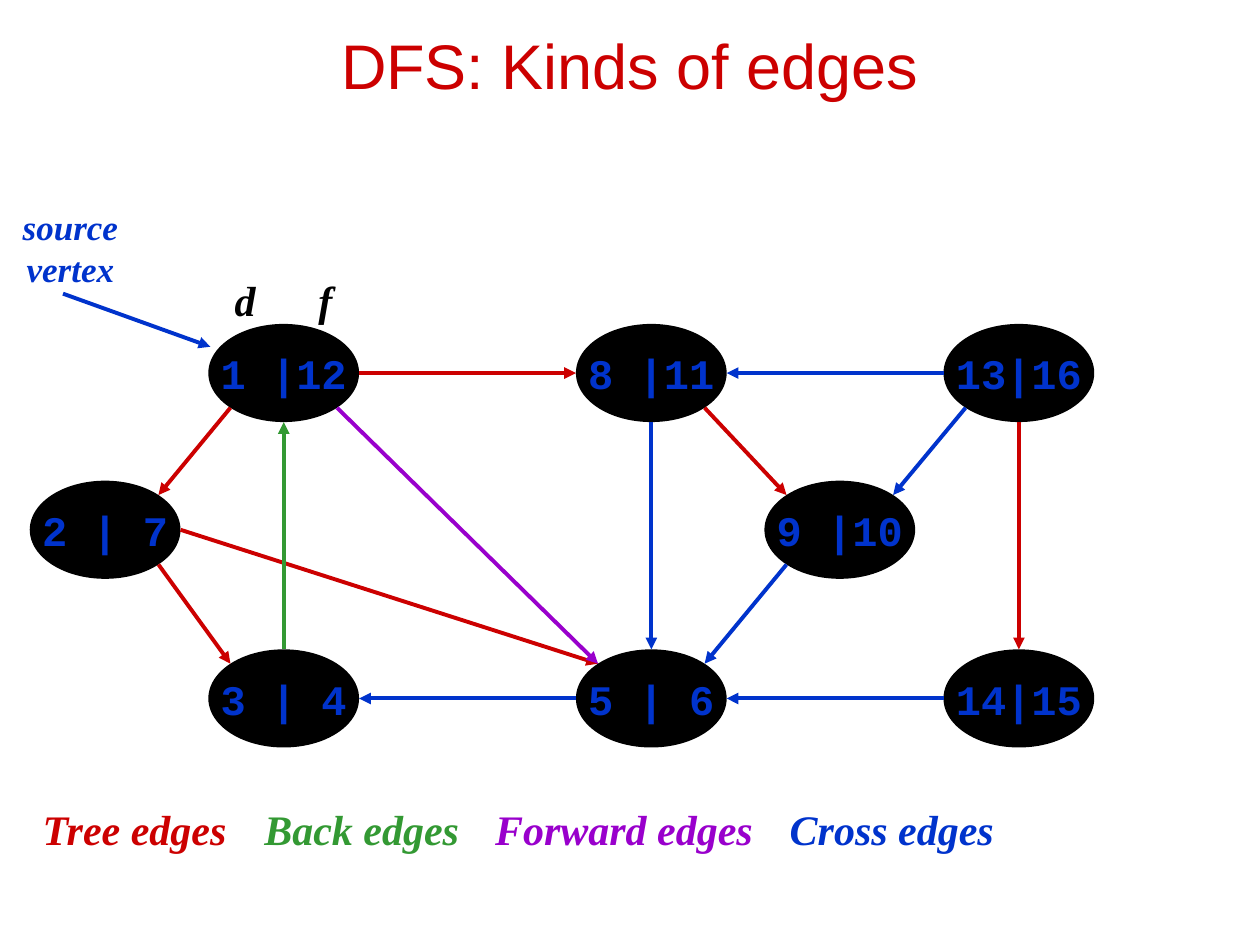
from dataclasses import dataclass
from math import cos, radians, sin

from lxml.etree import SubElement
from pptx import Presentation
from pptx.dml.color import RGBColor
from pptx.enum.shapes import MSO_CONNECTOR, MSO_SHAPE
from pptx.enum.text import MSO_ANCHOR, PP_ALIGN
from pptx.oxml.ns import qn
from pptx.util import Cm, Pt


@dataclass(frozen=True)
class Theme:
    tree: str = "CC0000"
    back: str = "339933"
    forward: str = "9900CC"
    cross: str = "0033CC"
    black: str = "000000"
    title_size: int = 36
    text_size: int = 24
    note_size: int = 20
    line_width: float = 2.25


theme = Theme()


def write(shape, text, color, size=theme.text_size, font="Times New Roman",
          bold=True, italic=True, align=PP_ALIGN.CENTER, space=0.2, wrap=False):
    """Fill a shape with one paragraph; space is the gap above it, relative to size."""
    frame = shape.text_frame
    frame.word_wrap = wrap
    frame.vertical_anchor = MSO_ANCHOR.MIDDLE
    frame.text = text
    para = frame.paragraphs[0]
    para.alignment = align
    para.space_before = Pt(size * space)
    for span in para.runs:
        span.font.name = font
        span.font.size = Pt(size)
        span.font.bold = bold
        span.font.italic = italic
        span.font.color.rgb = RGBColor.from_string(color)


def draw_arrow(page, start, end, color):
    arrow = page.shapes.add_connector(
        MSO_CONNECTOR.STRAIGHT, *(Cm(length) for length in (*start, *end)))
    arrow.line.width = Pt(theme.line_width)
    arrow.line.color.rgb = RGBColor.from_string(color)
    SubElement(arrow.line._get_or_add_ln(), qn("a:tailEnd"), type="triangle")
    SubElement(arrow._element.spPr, qn("a:effectLst"))


deck = Presentation()
deck.slide_width, deck.slide_height = Cm(25.4), Cm(19.05)
page = deck.slides.add_slide(deck.slide_layouts[6])

title = page.shapes.add_textbox(Cm(1.27), Cm(0.64), Cm(22.86), Cm(1.3))
write(title, "DFS: Kinds of edges", theme.tree, size=theme.title_size,
      font="Arial", bold=False, italic=False, space=0, wrap=True)

# Vertices, by centre, labelled with discovery and finishing times
left, middle, right = (5.72 + 7.41 * column for column in range(3))
top, centre, bottom = 7.52, 10.68, 14.08
vertices = {
    "1 |12": (left, top),
    "8 |11": (middle, top),
    "13|16": (right, top),
    "14|15": (right, bottom),
    "5 | 6": (middle, bottom),
    "3 | 4": (left, bottom),
    "2 | 7": (2.12, centre),
    "9 |10": (16.93, centre),
}
width, height = 2.96, 1.9
for times, (x, y) in vertices.items():
    vertex = page.shapes.add_shape(
        MSO_SHAPE.OVAL, Cm(x - width / 2), Cm(y - height / 2), Cm(width), Cm(height))
    vertex.shadow.inherit = False
    vertex.fill.solid()
    vertex.fill.fore_color.rgb = RGBColor.from_string(theme.black)
    vertex.line.color.rgb = RGBColor.from_string(theme.black)
    vertex.line.width = Pt(theme.line_width)
    write(vertex, times, theme.cross, font="Courier New", italic=False)

# Edges leave and enter at an angle, clockwise from the right-hand side
edges = [
    ("1 |12", 135, "2 | 7", 315, theme.tree),
    ("2 | 7", 45, "3 | 4", 225, theme.tree),
    ("2 | 7", 0, "5 | 6", 225, theme.tree),
    ("5 | 6", 180, "3 | 4", 0, theme.cross),
    ("3 | 4", 270, "1 |12", 90, theme.back),
    ("8 |11", 90, "5 | 6", 270, theme.cross),
    ("1 |12", 0, "8 |11", 180, theme.tree),
    ("13|16", 180, "8 |11", 0, theme.cross),
    ("8 |11", 45, "9 |10", 225, theme.tree),
    ("13|16", 135, "9 |10", 315, theme.cross),
    ("13|16", 90, "14|15", 270, theme.tree),
    ("14|15", 180, "5 | 6", 0, theme.cross),
    ("9 |10", 135, "5 | 6", 315, theme.cross),
    ("1 |12", 45, "5 | 6", 225, theme.forward),
]
reach_x, reach_y = width / 2 + 0.04, height / 2 + 0.04
for source, leave, target, enter, color in edges:
    ends = []
    for times, angle in ((source, leave), (target, enter)):
        x, y = vertices[times]
        ends.append((x + reach_x * cos(radians(angle)),
                     y + reach_y * sin(radians(angle))))
    draw_arrow(page, *ends, color)

# Source vertex note and the headings above its times
note = page.shapes.add_textbox(Cm(0.2), Cm(4.01), Cm(2.44), Cm(1.96))
write(note, "source\vvertex", theme.cross, size=theme.note_size)
draw_arrow(page, (1.27, 5.92), (4.24, 6.99), theme.cross)
for letter, x in (("d", 4.94), ("f", 6.56)):
    heading = page.shapes.add_textbox(Cm(x - 0.5), Cm(5.4), Cm(1), Cm(1.27))
    write(heading, letter, theme.black)

# Legend
legend = [
    ("Tree edges", 0.61, 4.24, theme.tree),
    ("Back edges", 5.08, 4.45, theme.back),
    ("Forward edges", 9.73, 5.72, theme.forward),
    ("Cross edges", 15.67, 4.62, theme.cross),
]
for kind, x, box_width, color in legend:
    box = page.shapes.add_textbox(Cm(x), Cm(16.08), Cm(box_width), Cm(1.27))
    write(box, kind, color, align=PP_ALIGN.LEFT)

deck.save("out.pptx")
